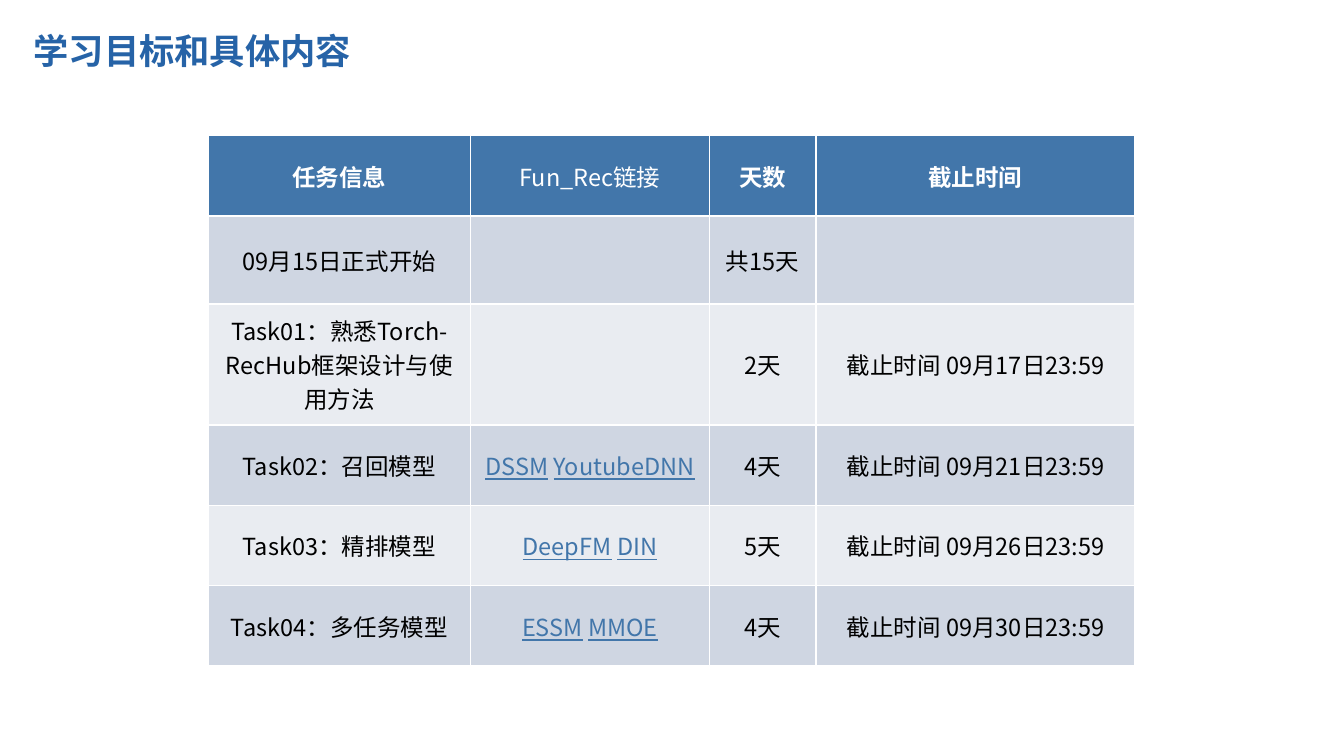
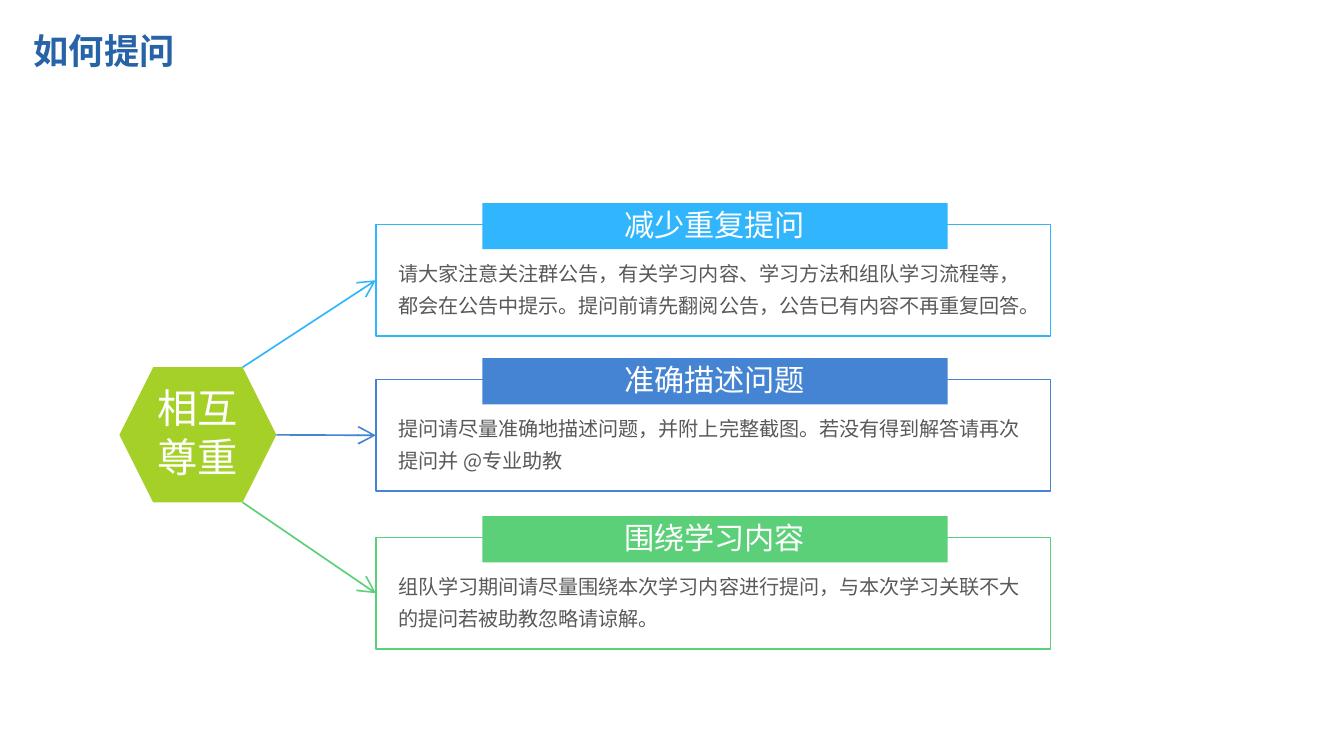
import pptx
import pptx.dml.color
import pptx.enum.shapes
import pptx.enum.text
import pptx.oxml.ns
import pptx.util
from lxml import etree

Cm, Pt = pptx.util.Cm, pptx.util.Pt
RGB = pptx.dml.color.RGBColor
SHAPE = pptx.enum.shapes.MSO_SHAPE
ALIGN = pptx.enum.text.PP_ALIGN
ANCHOR = pptx.enum.text.MSO_ANCHOR
qn = pptx.oxml.ns.qn

SLIDE_W, SLIDE_H = 28.25, 15.89
FONT = "Noto Sans CJK SC"
WHITE = RGB(0xFF, 0xFF, 0xFF)
BLACK = RGB(0x00, 0x00, 0x00)
GREY = RGB(0x59, 0x59, 0x59)
TITLE_BLUE = RGB(0x26, 0x63, 0xA7)
HEADER_BLUE = RGB(0x42, 0x76, 0xAA)
BANDS = [RGB(0xCF, 0xD6, 0xE2), RGB(0xE9, 0xEC, 0xF1)]
SKY = RGB(0x31, 0xB6, 0xFD)
BLUE = RGB(0x45, 0x84, 0xD3)
GREEN = RGB(0x5B, 0xD0, 0x78)
LIME = RGB(0xA5, 0xD0, 0x28)

# Content: schedule
SCHEDULE_TITLE = "学习目标和具体内容"
LINK_COL = 1
COL_WIDTHS = [5.51, 5.02, 2.24, 6.71]
SCHEDULE = [  # row height, cells
    (1.69, ["任务信息", "Fun_Rec链接", "天数", "截止时间"]),
    (1.85, ["09月15日正式开始", "", "共15天", ""]),
    (2.54, ["Task01：熟悉Torch-RecHub框架设计与使用方法", "", "2天",
            "截止时间 09月17日23:59"]),
    (1.69, ["Task02：召回模型", "DSSM YoutubeDNN", "4天", "截止时间 09月21日23:59"]),
    (1.69, ["Task03：精排模型", "DeepFM DIN", "5天", "截止时间 09月26日23:59"]),
    (1.69, ["Task04：多任务模型", "ESSM MMOE", "4天", "截止时间 09月30日23:59"]),
]

# Content: advice on asking
ASKING_TITLE = "如何提问"
CORE = "相互尊重"
ADVICE = [  # colour, box top, right margin of the text, heading, body
    (SKY, 4.72, 0, "减少重复提问",
     "请大家注意关注群公告，有关学习内容、学习方法和组队学习流程等，\v"
     "都会在公告中提示。提问前请先翻阅公告，公告已有内容不再重复回答。"),
    (BLUE, 7.98, 0.5, "准确描述问题",
     "提问请尽量准确地描述问题，并附上完整截图。若没有得到解答请再次提问并 @专业助教"),
    (GREEN, 11.3, 0.5, "围绕学习内容",
     "组队学习期间请尽量围绕本次学习内容进行提问，与本次学习关联不大的提问若被助教忽略请谅解。"),
]
BOX_LEFT, BOX_W, BOX_H = 7.9, 14.18, 2.34
BAND_LEFT, BAND_W, BAND_H, BAND_RISE = 10.14, 9.78, 0.97, 0.45
HEX_LEFT, HEX_TOP, HEX_W, HEX_H, HEX_CUT = 2.51, 7.72, 3.3, 2.84, 0.71
TEXT_INDENT, TEXT_DROP = 0.48, 0.61


def style_run(r, size, color, bold=False, underline=False, spacing=0):
    f = r.font
    f.name, f.size, f.bold = FONT, Pt(size), bold
    f.underline = underline
    f.color.rgb = color
    rPr = r._r.get_or_add_rPr()
    if spacing:
        rPr.set("spc", str(spacing))
    latin = rPr.find(qn("a:latin"))
    ea = etree.Element(qn("a:ea"), typeface=FONT)
    latin.addnext(ea)


def write(tf, text, size, color, align=ALIGN.LEFT, anchor=ANCHOR.TOP,
          margins=(0, 0, 0, 0), line_spacing=None, **font):
    tf.word_wrap = True
    tf.vertical_anchor = anchor
    (tf.margin_left, tf.margin_top,
     tf.margin_right, tf.margin_bottom) = [Cm(m) for m in margins]
    tf.text = text
    p = tf.paragraphs[0]
    p.alignment = align
    if line_spacing:
        p.line_spacing = line_spacing
    for r in p.runs:
        style_run(r, size, color, **font)


def add_slide(prs, title):
    s = prs.slides.add_slide(prs.slide_layouts[6])
    tb = s.shapes.add_textbox(Cm(0.71), Cm(0.44), Cm(19.66), Cm(1.02))
    write(tb.text_frame, title, 21, TITLE_BLUE, line_spacing=1.2, bold=True)
    return s


def add_block(s, kind, left, top, width, height, fill=None, line=None):
    sp = s.shapes.add_shape(kind, Cm(left), Cm(top), Cm(width), Cm(height))
    sp.shadow.inherit = False
    if fill is None:
        sp.fill.background()
    else:
        sp.fill.solid()
        sp.fill.fore_color.rgb = fill
    if line is None:
        sp.line.fill.background()
    else:
        sp.line.color.rgb = line
        sp.line.width = Pt(1)
    return sp


def add_arrow(s, x, y, target, color):
    c = s.shapes.add_connector(pptx.enum.shapes.MSO_CONNECTOR.STRAIGHT,
                               Cm(x), Cm(y), target.left, target.top)
    c.end_connect(target, 1)
    c.line.color.rgb = color
    c.line.width = Pt(1)
    ln = c.line._get_or_add_ln()
    etree.SubElement(ln, qn("a:tailEnd"), type="arrow", w="lg", len="lg")
    etree.SubElement(c._element.spPr, qn("a:effectLst"))


def style_cell(cell, fill):
    tcPr = cell._tc.get_or_add_tcPr()
    for side in ("lnL", "lnR", "lnT", "lnB"):
        ln = etree.SubElement(tcPr, qn("a:" + side), w=str(Pt(1)))
        solid = etree.SubElement(ln, qn("a:solidFill"))
        etree.SubElement(solid, qn("a:srgbClr"), val=str(WHITE))
    cell.fill.solid()
    cell.fill.fore_color.rgb = fill
    cell.vertical_anchor = ANCHOR.MIDDLE
    cell.margin_left = cell.margin_right = Cm(0.15)
    cell.margin_top = cell.margin_bottom = Cm(0.15)


def fill_cell(cell, text, row, col):
    p = cell.text_frame.paragraphs[0]
    p.alignment = ALIGN.CENTER
    is_link = row > 0 and col == LINK_COL
    parts = text.split(" ") if is_link else [text]
    for i, part in enumerate(parts):
        if i:
            gap = p.add_run()
            gap.text = " "
            style_run(gap, 14, BLACK)
        r = p.add_run()
        r.text = part
        color = WHITE if row == 0 else HEADER_BLUE if is_link else BLACK
        style_run(r, 14, color, bold=row == 0 and col != LINK_COL,
                  underline=is_link)


def build_schedule(prs):
    s = add_slide(prs, SCHEDULE_TITLE)
    heights = [height for height, _ in SCHEDULE]
    table = s.shapes.add_table(len(SCHEDULE), len(COL_WIDTHS), Cm(4.38), Cm(2.85),
                               Cm(sum(COL_WIDTHS)), Cm(sum(heights))).table
    for column, width in zip(table.columns, COL_WIDTHS):
        column.width = Cm(width)
    for i, (height, texts) in enumerate(SCHEDULE):
        table.rows[i].height = Cm(height)
        for j, text in enumerate(texts):
            cell = table.cell(i, j)
            style_cell(cell, BANDS[(i - 1) % 2] if i else HEADER_BLUE)
            if text:
                fill_cell(cell, text, i, j)


def build_asking(prs):
    s = add_slide(prs, ASKING_TITLE)
    # Hexagon
    hexagon = add_block(s, SHAPE.HEXAGON, HEX_LEFT, HEX_TOP, HEX_W, HEX_H, LIME)
    hexagon.adjustments[0] = HEX_CUT / HEX_H
    write(hexagon.text_frame, CORE, 24, WHITE, ALIGN.CENTER, ANCHOR.MIDDLE,
          margins=(0.12, 0, 0.12, 0.12), spacing=-20)
    right = HEX_LEFT + HEX_W
    arrow_starts = [(right - HEX_CUT, HEX_TOP),
                    (right, HEX_TOP + HEX_H / 2),
                    (right - HEX_CUT, HEX_TOP + HEX_H)]
    # Boxes with heading bands and arrows
    for (color, top, margin, heading, body), (x, y) in zip(ADVICE, arrow_starts):
        box = add_block(s, SHAPE.RECTANGLE, BOX_LEFT, top, BOX_W, BOX_H, line=color)
        write(box.text_frame, body, 12, GREY, line_spacing=1.32, spacing=-6,
              margins=(TEXT_INDENT, TEXT_DROP, margin, 0))
        band = add_block(s, SHAPE.RECTANGLE, BAND_LEFT, top - BAND_RISE,
                         BAND_W, BAND_H, color)
        write(band.text_frame, heading, 18, WHITE, ALIGN.CENTER, ANCHOR.MIDDLE,
              margins=(0, 0, 0, 0.08), spacing=-10)
        add_arrow(s, x, y, box, color)


def main():
    prs = pptx.Presentation()
    prs.slide_width, prs.slide_height = Cm(SLIDE_W), Cm(SLIDE_H)
    build_schedule(prs)
    build_asking(prs)
    prs.save("out.pptx")


if __name__ == "__main__":
    main()
